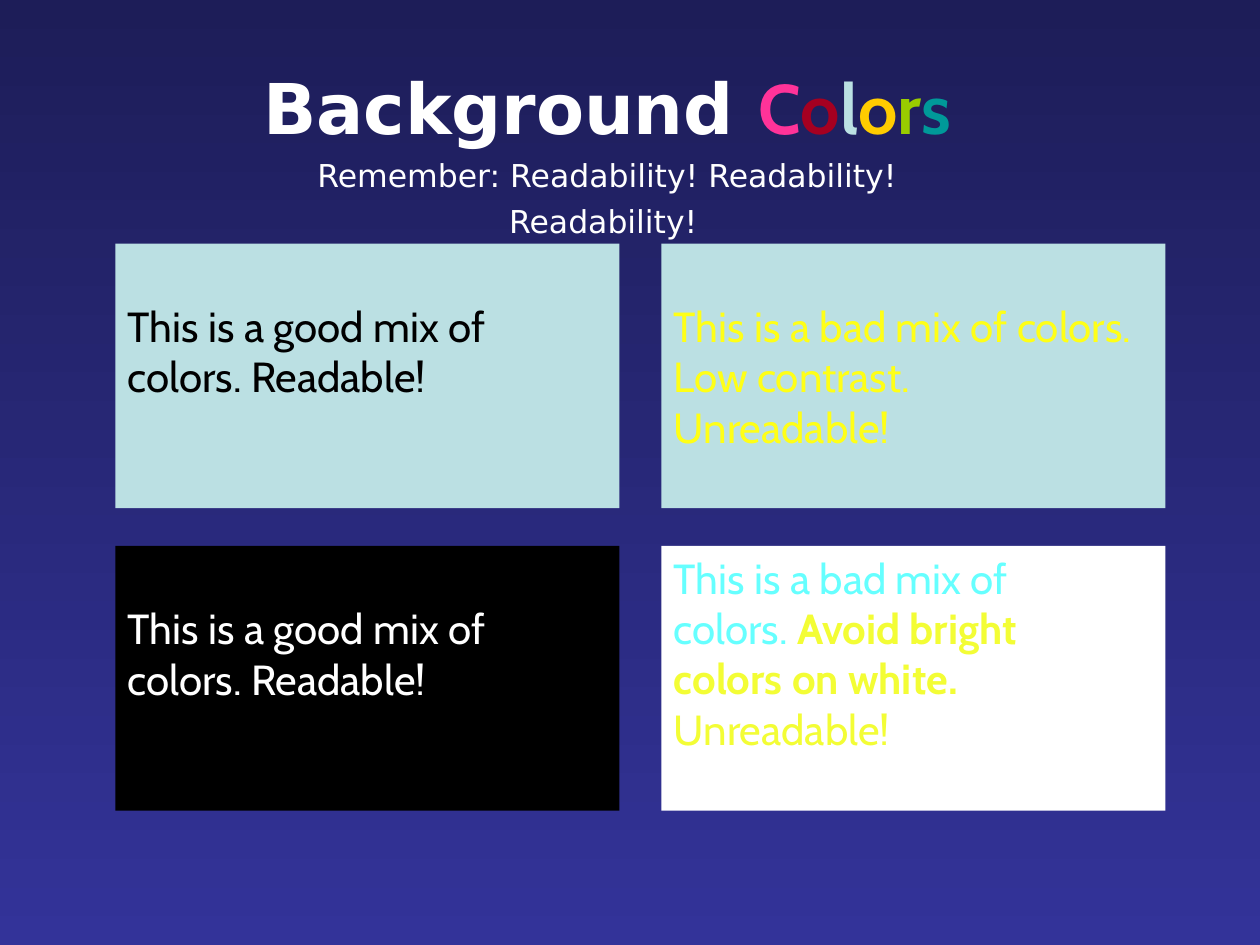
from pptx import Presentation
from pptx.dml.color import RGBColor as RGB
from pptx.enum.shapes import MSO_SHAPE as Shape
from pptx.enum.text import MSO_ANCHOR as Anchor, MSO_AUTO_SIZE as Fit, PP_ALIGN as Align
from pptx.util import Pt

NAVY = RGB(0x1D, 0x1D, 0x58)
BLUE = RGB(0x33, 0x33, 0x99)
WHITE = RGB(0xFF, 0xFF, 0xFF)
BLACK = RGB(0, 0, 0)
PALE = RGB(0xBB, 0xE0, 0xE3)
PINK = RGB(0xFF, 0x33, 0x99)
RED = RGB(0xA5, 0x00, 0x21)
GOLD = RGB(0xFF, 0xCC, 0x00)
LIME = RGB(0x99, 0xCC, 0x00)
TEAL = RGB(0x00, 0x99, 0x99)
YELLOW = RGB(0xFF, 0xFF, 0x17)
CYAN = RGB(0x66, 0xFF, 0xFF)
LEMON = RGB(0xF3, 0xFD, 0x35)

SANS, CABIN = "DejaVu Sans", "Cabin"
LINE = 28.8  # height of one line of panel text

# Each panel: fill, lines skipped at the top, paragraphs of (text, colour, bold)
PANELS = [
    (PALE, 1, [[("This is a good mix of colors. Readable!", BLACK, False)]]),
    (PALE, 1, [[("This is a bad mix of colors. Low contrast.", YELLOW, False)],
               [("Unreadable!", YELLOW, False)]]),
    (BLACK, 1, [[("This is a good mix of", WHITE, False)],
                [("colors. Readable!", WHITE, False)]]),
    (WHITE, 0, [[("This is a bad mix of", CYAN, False)],
                [("colors. ", CYAN, False), ("Avoid bright", LEMON, True)],
                [("colors on white.", LEMON, True)],
                [("Unreadable!", LEMON, False)]]),
]


def assign(item, form):
    for key, val in form.items():
        setattr(item, key, val)


def add_run(para, text, color, name, size, bold=False):
    run = para.add_run()
    run.text = text
    assign(run.font, dict(name=name, size=Pt(size), bold=bold))
    run.font.color.rgb = color


def set_frame(frame, top=3.6):
    assign(frame, dict(word_wrap=True, auto_size=Fit.NONE, vertical_anchor=Anchor.TOP,
                       margin_left=Pt(7.2), margin_right=Pt(7.2),
                       margin_top=Pt(top), margin_bottom=Pt(3.6)))


def next_para(frame, index, form):
    para = frame.add_paragraph() if index else frame.paragraphs[0]
    assign(para, form)
    return para


def set_back(slide):
    fill = slide.background.fill
    fill.gradient()
    fill.gradient_angle = 270
    for stop, color in zip(fill.gradient_stops, (NAVY, BLUE)):
        stop.color.rgb = color


def add_title(slide):
    title = slide.shapes.title
    assign(title, dict(left=Pt(134.6), top=Pt(23.8), width=Pt(424.8), height=Pt(90.7)))
    frame = title.text_frame
    set_frame(frame)
    form = dict(alignment=Align.CENTER, line_spacing=1.2)

    # Heading with one colour for each letter of its last word
    head = next_para(frame, 0, form)
    add_run(head, "Background ", WHITE, SANS, 40, True)
    for char, color in zip("Colors", (PINK, RED, PALE, GOLD, LIME, TEAL)):
        add_run(head, char, color, CABIN, 40, True)

    # Reminder line
    note = next_para(frame, 1, form)
    add_run(note, "Remember: Readability! Readability! Readability!", WHITE, SANS, 18)
    add_run(note, " ", BLACK, SANS, 14)


def add_panel(slide, left, top, color, skip, paras):
    box = slide.shapes.add_shape(Shape.RECTANGLE, Pt(left), Pt(top), Pt(288), Pt(151.2))
    box.shadow.inherit = False
    box.fill.solid()
    box.fill.fore_color.rgb = color
    box.line.fill.background()
    frame = box.text_frame
    set_frame(frame, 3.6 + skip * LINE)
    for index, runs in enumerate(paras):
        para = next_para(frame, index, dict(alignment=Align.LEFT))
        for text, ink, bold in runs:
            add_run(para, text, ink, CABIN, 24, bold)


def main():
    deck = Presentation()
    assign(deck, dict(slide_width=Pt(720), slide_height=Pt(540)))
    slide = deck.slides.add_slide(deck.slide_layouts[5])
    set_back(slide)
    add_title(slide)
    # Two by two grid of samples
    for index, panel in enumerate(PANELS):
        row, col = divmod(index, 2)
        add_panel(slide, 66 + 312 * col, 139.2 + 172.8 * row, *panel)
    deck.save("out.pptx")


if __name__ == "__main__":
    main()
